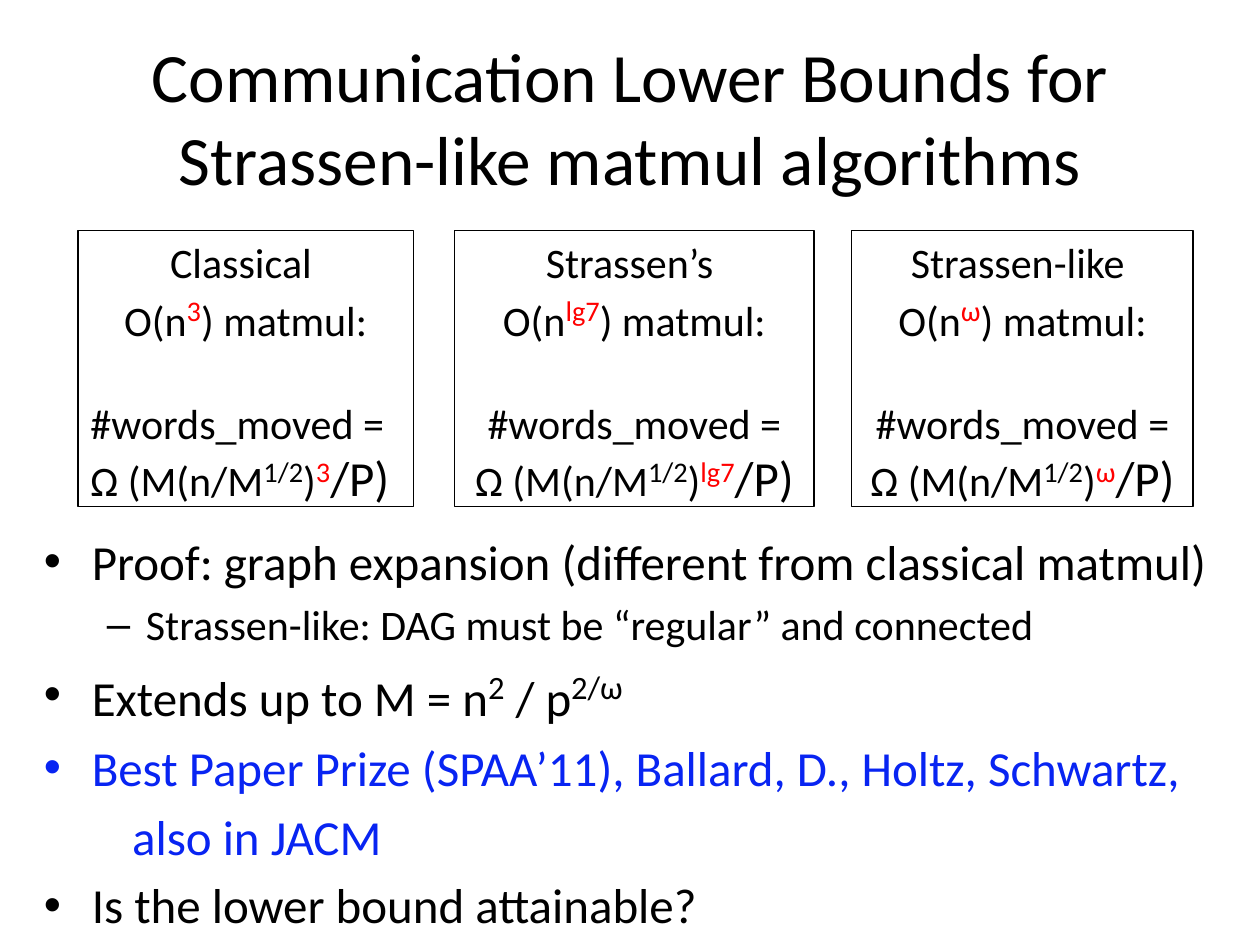
from dataclasses import dataclass

from lxml import etree
from pptx import Presentation
from pptx.dml.color import RGBColor
from pptx.enum.shapes import MSO_SHAPE
from pptx.enum.text import MSO_ANCHOR, MSO_AUTO_SIZE, PP_ALIGN
from pptx.oxml.ns import qn
from pptx.util import Inches, Pt

RECTANGLE = MSO_SHAPE.RECTANGLE
TOP, MIDDLE = MSO_ANCHOR.TOP, MSO_ANCHOR.MIDDLE
FIT_SHAPE = MSO_AUTO_SIZE.SHAPE_TO_FIT_TEXT
LEFT, CENTER = PP_ALIGN.LEFT, PP_ALIGN.CENTER
BLACK, RED, BLUE = "000000", "FF0000", "0824F2"
FONT = "Calibri"
BOX_TOP, BOX_HEIGHT = 1.83, 2.19
BLANK_LINE = 29.3


@dataclass(frozen=True)
class Span:
    text: str
    size: float
    color: str = BLACK
    raised: bool = False


@dataclass(frozen=True)
class Line:
    spans: tuple[Span, ...]
    align: PP_ALIGN = LEFT
    space_before: float = 0
    bullet: str = ""
    margin: float = 0
    indent: float = 0


@dataclass(frozen=True)
class Bound:
    name: str
    exponent: str
    left: float
    width: float
    formula_align: PP_ALIGN = CENTER


BOUNDS = (
    Bound("Classical ", "3", 0.62, 2.66, LEFT),
    Bound("Strassen’s ", "lg7", 3.61, 2.85),
    Bound("Strassen-like ", "ω", 6.76, 2.71),
)


def rgb(color: str) -> RGBColor:
    return RGBColor.from_string(color)


def add_span(para, span: Span) -> None:
    run = para.add_run()
    run.text = span.text
    run.font.name = FONT
    run.font.size = Pt(span.size)
    run.font.color.rgb = rgb(span.color)
    if span.raised:
        run._r.get_or_add_rPr().set("baseline", "30000")


def write_lines(frame, lines: tuple[Line, ...]) -> None:
    for index, line in enumerate(lines):
        para = frame.add_paragraph() if index else frame.paragraphs[0]
        para.alignment = line.align
        para.space_before = Pt(line.space_before)
        properties = para._p.get_or_add_pPr()
        properties.set("marL", str(Inches(line.margin)))
        properties.set("indent", str(Inches(line.indent)))
        if line.bullet:
            font = etree.SubElement(properties, qn("a:buFont"))
            font.set("typeface", "Arial")
            bullet = etree.SubElement(properties, qn("a:buChar"))
            bullet.set("char", line.bullet)
        for span in line.spans:
            add_span(para, span)


def add_text(slide, left: float, top: float, width: float, height: float,
             lines: tuple[Line, ...], anchor: MSO_ANCHOR = TOP) -> None:
    box = slide.shapes.add_textbox(
        Inches(left), Inches(top), Inches(width), Inches(height))
    box.text_frame.word_wrap = True
    box.text_frame.vertical_anchor = anchor
    write_lines(box.text_frame, lines)


def add_bound(slide, bound: Bound) -> None:
    box = slide.shapes.add_shape(
        RECTANGLE, Inches(bound.left), Inches(BOX_TOP),
        Inches(bound.width), Inches(BOX_HEIGHT))
    box.shadow.inherit = False
    box.fill.background()
    box.line.color.rgb = rgb(BLACK)
    box.line.width = Pt(0.75)
    frame = box.text_frame
    frame.word_wrap = False
    frame.auto_size = FIT_SHAPE
    frame.vertical_anchor = TOP
    exponent = Span(bound.exponent, 28, RED, True)
    write_lines(frame, (
        Line((Span(bound.name, 24),), CENTER),
        Line((Span("O(n", 24), exponent, Span(") matmul:", 24)), CENTER),
        Line((Span("#words_moved =", 24),), bound.formula_align, BLANK_LINE),
        Line((Span("Ω (M(n/M", 24), Span("1/2", 28, raised=True),
              Span(")", 24), exponent, Span("/P)", 28)), bound.formula_align),
    ))


def point(*spans: Span) -> Line:
    gap = 0.2 * max(span.size for span in spans)
    return Line(spans, LEFT, gap, "•", 0.38, -0.38)


def main() -> None:
    deck = Presentation()
    deck.slide_width, deck.slide_height = Inches(10), Inches(7.5)
    slide = deck.slides.add_slide(deck.slide_layouts[6])

    title = "Communication Lower Bounds for Strassen-like matmul algorithms"
    add_text(slide, 0.5, 0.3, 9, 1.25,
             (Line((Span(title, 39.6),), CENTER),), MIDDLE)
    add_text(slide, 0.25, 4.17, 9.58, 4.95, (
        point(Span("Proof: graph expansion (different from classical matmul)", 28)),
        Line((Span("Strassen-like: DAG must be “regular” and connected", 24),),
             LEFT, 4.8, "–", 0.81, -0.31),
        point(Span("Extends up to M = n", 28), Span("2", 32, raised=True),
              Span(" / p", 28), Span("2/ω", 32, raised=True)),
        point(Span("Best Paper Prize (SPAA’11), Ballard, D., Holtz, Schwartz,",
                   28, BLUE)),
        Line((Span("also in JACM", 28, BLUE),), LEFT, 5.6, margin=0.7),
        point(Span("Is the lower bound attainable?", 28)),
    ))
    for bound in BOUNDS:
        add_bound(slide, bound)
    deck.save("out.pptx")


if __name__ == "__main__":
    main()
